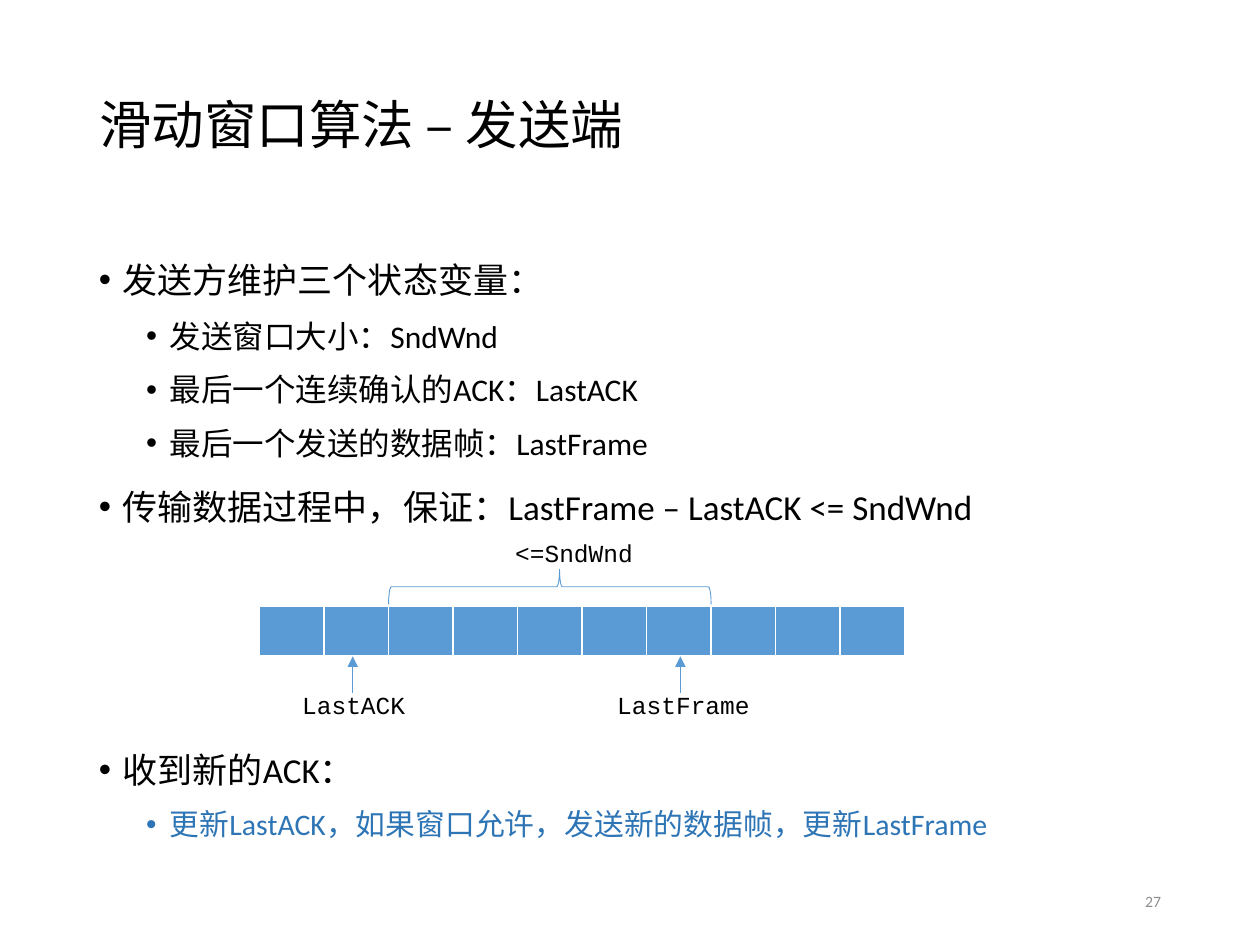
from lxml import etree
from pptx import Presentation
from pptx import util as u
from pptx.dml.color import RGBColor
from pptx.enum import shapes, text
from pptx.oxml import ns

Pt = u.Pt
COLORS = {"ink": "000000", "blue": "5B9BD5", "accent": "2E75B6",
          "white": "FFFFFF", "grey": "8C8C8C"}
BODY, MONO = "Calibri", "Courier New"
STATE_LINES = [
    (0, "发送方维护三个状态变量：", 20, "ink"),
    (1, "发送窗口大小：SndWnd", 18, "ink"),
    (1, "最后一个连续确认的ACK：LastACK", 18, "ink"),
    (1, "最后一个发送的数据帧：LastFrame", 18, "ink"),
    (0, "传输数据过程中，保证：LastFrame – LastACK <= SndWnd", 20, "ink"),
]
ACK_LINES = [
    (0, "收到新的ACK：", 20, "ink"),
    (1, "更新LastACK，如果窗口允许，发送新的数据帧，更新LastFrame", 17, "accent"),
]


def rgb(name):
    """Return the named colour."""
    return RGBColor.from_string(COLORS[name])


def add_xml(parent, tag, **attributes):
    """Append a DrawingML element to a parent."""
    return etree.SubElement(parent, ns.qn(f"a:{tag}"), **attributes)


def style(para, size, color="ink", name=BODY):
    """Set the font of a paragraph."""
    para.font.size = Pt(size)
    para.font.name = name
    para.font.color.rgb = rgb(color)


def add_box(page, left, top, width, height, wrap=True):
    """Add an empty text box and return its frame."""
    frame = page.shapes.add_textbox(Pt(left), Pt(top), Pt(width), Pt(height)).text_frame
    frame.word_wrap = wrap
    return frame


def place_title(page, left, top, width, height):
    """Fill and format the title placeholder."""
    title = page.shapes.title
    title.left, title.top, title.width, title.height = map(Pt, (left, top, width, height))
    frame = title.text_frame
    frame.text = "滑动窗口算法 – 发送端"
    frame.auto_size = text.MSO_AUTO_SIZE.NONE
    frame.vertical_anchor = text.MSO_ANCHOR.MIDDLE
    para = frame.paragraphs[0]
    para.alignment = text.PP_ALIGN.LEFT
    para.line_spacing = 0.9
    style(para, 30)


def add_bullets(page, left, top, width, height, lines):
    """Add a two-level bullet list."""
    frame = add_box(page, left, top, width, height)
    for index, (level, words, size, color) in enumerate(lines):
        para = frame.add_paragraph() if index else frame.paragraphs[0]
        para.text = words
        para.level = level
        para.line_spacing = 1.25
        para.space_before = Pt(3.75 if level else 7.5)
        properties = para._p.get_or_add_pPr()
        properties.set("marL", str(Pt(13.5 + 27 * level)))
        properties.set("indent", str(Pt(-13.5)))
        add_xml(properties, "buFont", typeface="Arial")
        add_xml(properties, "buChar", char="•")
        style(para, size, color)


def add_label(page, left, top, words):
    """Add a monospaced label sized to its characters."""
    frame = add_box(page, left, top, 8.4 * len(words) + 14.4, 24.5, wrap=False)
    para = frame.paragraphs[0]
    para.text = words
    style(para, 14, name=MONO)


def add_frames(page, left, top, cell_width, height, count):
    """Add the row of data frames as a table."""
    frame = page.shapes.add_table(1, count, Pt(left), Pt(top),
                                  Pt(cell_width * count), Pt(height))
    table = frame.table
    table.first_row = table.horz_banding = False
    table.rows[0].height = Pt(height)
    for column in table.columns:
        column.width = Pt(cell_width)
    for cell in table.iter_cells():
        cell.margin_top = cell.margin_bottom = 0
        properties = cell._tc.get_or_add_tcPr()
        for side, weight in (("L", 1), ("R", 1), ("T", 1), ("B", 3)):
            border = add_xml(properties, f"ln{side}", w=str(Pt(weight)))
            add_xml(add_xml(border, "solidFill"), "srgbClr", val=COLORS["white"])
        cell.fill.solid()
        cell.fill.fore_color.rgb = rgb("blue")


def add_brace(page, left, top, width, height):
    """Add an upward brace spanning the given box."""
    brace = page.shapes.add_shape(
        shapes.MSO_SHAPE.RIGHT_BRACE, Pt(left + (width - height) / 2),
        Pt(top + (height - width) / 2), Pt(height), Pt(width))
    brace.rotation = 270
    brace.adjustments[0], brace.adjustments[1] = 0.08, 0.53
    brace.shadow.inherit = False
    brace.fill.background()
    brace.line.color.rgb = rgb("blue")
    brace.line.width = Pt(0.5)


def add_pointer(page, x, top, height):
    """Add an upward arrow."""
    arrow = page.shapes.add_connector(shapes.MSO_CONNECTOR.STRAIGHT,
                                      Pt(x), Pt(top + height), Pt(x), Pt(top))
    arrow.line.color.rgb = rgb("blue")
    arrow.line.width = Pt(0.5)
    add_xml(arrow.line._get_or_add_ln(), "tailEnd", type="triangle")
    add_xml(arrow._element.spPr, "effectLst")


def add_window(page, left, top, width):
    """Draw the sliding window with its brace and pointers."""
    count = 10
    cell = width / count
    add_frames(page, left, top + 42.5, cell, 29.5, count)
    add_brace(page, left + 2 * cell, top + 21.5, 5 * cell, 20)
    add_label(page, left + 139, top, "<=SndWnd")
    for words, arrow_x, label_x in (("LastACK", 53.3, 17.3), ("LastFrame", 240.5, 197.3)):
        add_pointer(page, left + arrow_x, top + 71.3, 21)
        add_label(page, left + label_x, top + 87.2, words)


def add_number(page, left, top, width, height):
    """Add the page number."""
    frame = add_box(page, left, top, width, height)
    frame.vertical_anchor = text.MSO_ANCHOR.MIDDLE
    para = frame.paragraphs[0]
    para.text = "27"
    para.alignment = text.PP_ALIGN.RIGHT
    style(para, 9, "grey")


def main():
    """Build and save the deck."""
    deck = Presentation()
    deck.slide_width, deck.slide_height = Pt(720), Pt(540)
    page = deck.slides.add_slide(deck.slide_layouts[5])
    place_title(page, 49.5, 28.75, 621, 88.5)
    add_bullets(page, 49.5, 138.25, 621, 166, STATE_LINES)
    add_window(page, 148.3, 303.8, 368.7)
    add_bullets(page, 49.5, 418.25, 621, 88, ACK_LINES)
    add_number(page, 508.5, 500.5, 162, 28.75)
    deck.save("out.pptx")


if __name__ == "__main__":
    main()
